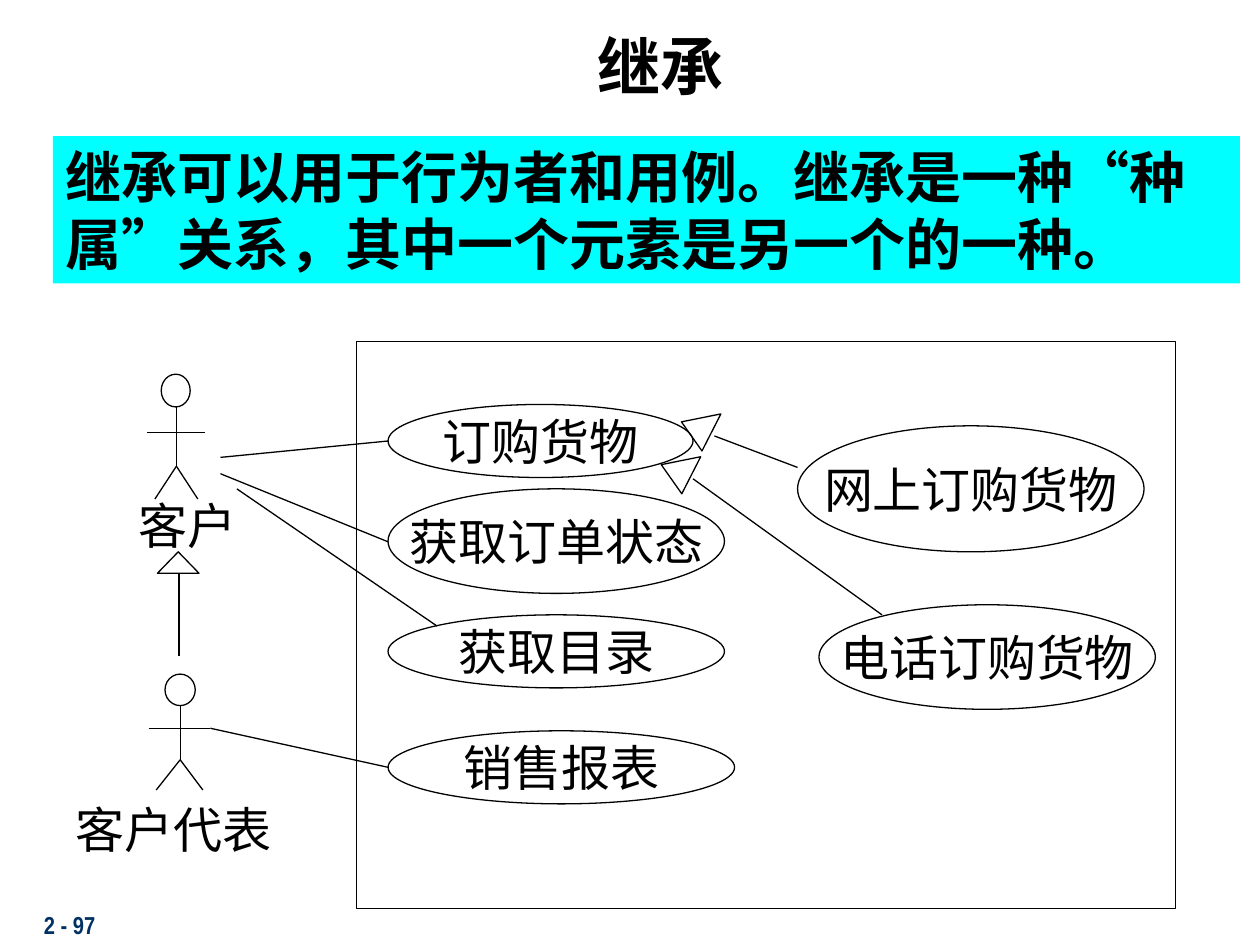
from pptx import Presentation
from pptx.dml.color import RGBColor
from pptx.enum.lang import MSO_LANGUAGE_ID as Lang
from pptx.enum.shapes import MSO_CONNECTOR as Connector, MSO_SHAPE as Shape
from pptx.enum.text import MSO_ANCHOR as Anchor, PP_ALIGN as Align
from pptx.oxml.ns import qn
from pptx.util import Emu, Pt

EMU_PER_PX = 9144


def px(length):
    """Turn whole px, a hundred to the inch, into EMU."""
    return Emu(length * EMU_PER_PX)


def color(hex_code):
    """Turn a hex string into a colour."""
    return RGBColor.from_string(hex_code)


class UseCaseSlide:
    """The style of the use case diagram and the slide it is drawn on."""

    INK = "000000"
    FONT = "Times New Roman"
    LABEL_SIZE = 28
    LINE_WIDTH = 0.75

    def __init__(self, slide):
        """Keep the slide to draw on."""
        self.slide = slide

    def label(self, shape, words, size, font=FONT, ink=INK, bold=False,
              align=Align.LEFT, anchor=Anchor.TOP, wrap=True):
        """Put one run of text into a shape."""
        frame = shape.text_frame
        frame.word_wrap = wrap
        frame.vertical_anchor = anchor
        paragraph = frame.paragraphs[0]
        paragraph.alignment = align
        run = paragraph.add_run()
        run.text = words
        run.font.name = font
        run.font.size = Pt(size)
        run.font.bold = bold
        run.font.color.rgb = color(ink)
        run.font.language_id = Lang.SIMPLIFIED_CHINESE

    def text(self, words, box, size, **style):
        """Add a text box."""
        self.label(self.slide.shapes.add_textbox(*map(px, box)), words, size, **style)

    def outline(self, kind, box, fill=None, line=INK):
        """Add a preset shape, with a fill or a line or both."""
        shape = self.slide.shapes.add_shape(kind, *map(px, box))
        shape.shadow.inherit = False
        if fill:
            shape.fill.solid()
            shape.fill.fore_color.rgb = color(fill)
        else:
            shape.fill.background()
        if line:
            shape.line.color.rgb = color(line)
            shape.line.width = Pt(self.LINE_WIDTH)
        else:
            shape.line.fill.background()
        return shape

    def banner(self, words, box, fill):
        """Add a filled statement."""
        self.label(self.outline(Shape.RECTANGLE, box, fill, None), words, 32, bold=True)

    def use_case(self, name, box):
        """Add an ellipse with its name in the middle."""
        self.label(self.outline(Shape.OVAL, box), name, self.LABEL_SIZE,
                   align=Align.CENTER, anchor=Anchor.MIDDLE, wrap=False)

    def line(self, x1, y1, x2, y2):
        """Add a straight line."""
        connector = self.slide.shapes.add_connector(
            Connector.STRAIGHT, *map(px, (x1, y1, x2, y2)))
        connector.line.color.rgb = color(self.INK)
        connector.line.width = Pt(self.LINE_WIDTH)
        properties = connector._element.spPr
        properties.append(properties.makeelement(qn("a:effectLst"), {}))

    def actor(self, name, label_box, head, arms, hip, feet):
        """Add a stick figure with its name below."""
        left, top, width, height = head
        arm_left, arm_right, arm_y = arms
        hip_x, hip_y = hip
        foot_left, foot_right, foot_y = feet
        self.outline(Shape.OVAL, head)
        self.line(arm_left, arm_y, arm_right, arm_y)
        self.line(hip_x, top + height, hip_x, hip_y)
        for foot_x in (foot_left, foot_right):
            self.line(hip_x, hip_y, foot_x, foot_y)
        self.text(name, label_box, self.LABEL_SIZE)

    def inheritance(self, head, stem, rotation=0, apex=0.5):
        """Add a hollow triangle and the line that leads to it."""
        triangle = self.outline(Shape.ISOSCELES_TRIANGLE, head)
        triangle.adjustments[0] = apex
        triangle.rotation = rotation
        self.line(*stem)


def main():
    """Build the inheritance slide."""
    deck = Presentation()
    deck.slide_width, deck.slide_height = px(1000), px(750)
    page = UseCaseSlide(deck.slides.add_slide(deck.slide_layouts[6]))

    page.text("2 - 97", (25, 717, 208, 33), 14, font="Arial Narrow",
              ink="003162", bold=True)
    page.text("继承", (115, 17, 818, 60), 36, font="Noto Sans CJK SC",
              bold=True, align=Align.CENTER)
    page.banner("继承可以用于行为者和用例。继承是一种“种属”关系，其中一个元素是另一个的一种。",
                (42, 108, 942, 117), "00FFFF")

    page.outline(Shape.RECTANGLE, (283, 271, 650, 450))
    for name, box in (
        ("订购货物", (308, 321, 242, 58)),
        ("获取订单状态", (308, 388, 267, 83)),
        ("获取目录", (308, 488, 267, 58)),
        ("销售报表", (308, 580, 275, 58)),
        ("电话订购货物", (650, 480, 267, 83)),
        ("网上订购货物", (633, 338, 275, 100)),
    ):
        page.use_case(name, box)

    page.actor("客户", (100, 388, 142, 57), head=(128, 297, 23, 26),
               arms=(117, 163, 343), hip=(140, 370), feet=(123, 157, 396))
    page.actor("客户代表", (50, 630, 233, 57), head=(131, 535, 24, 25),
               arms=(118, 167, 578), hip=(143, 603), feet=(124, 161, 627))

    for association in (
        (175, 363, 308, 350),
        (175, 376, 308, 430),
        (188, 388, 347, 497),
        (167, 578, 308, 609),
    ):
        page.line(*association)

    page.inheritance((125, 438, 33, 17), (142, 455, 142, 521))
    for head, stem in (
        ((537, 325, 33, 25), (567, 346, 633, 371)),
        ((521, 359, 33, 25), (550, 380, 700, 488)),
    ):
        page.inheritance(head, stem, rotation=297, apex=0.4)

    deck.save("out.pptx")


if __name__ == "__main__":
    main()
